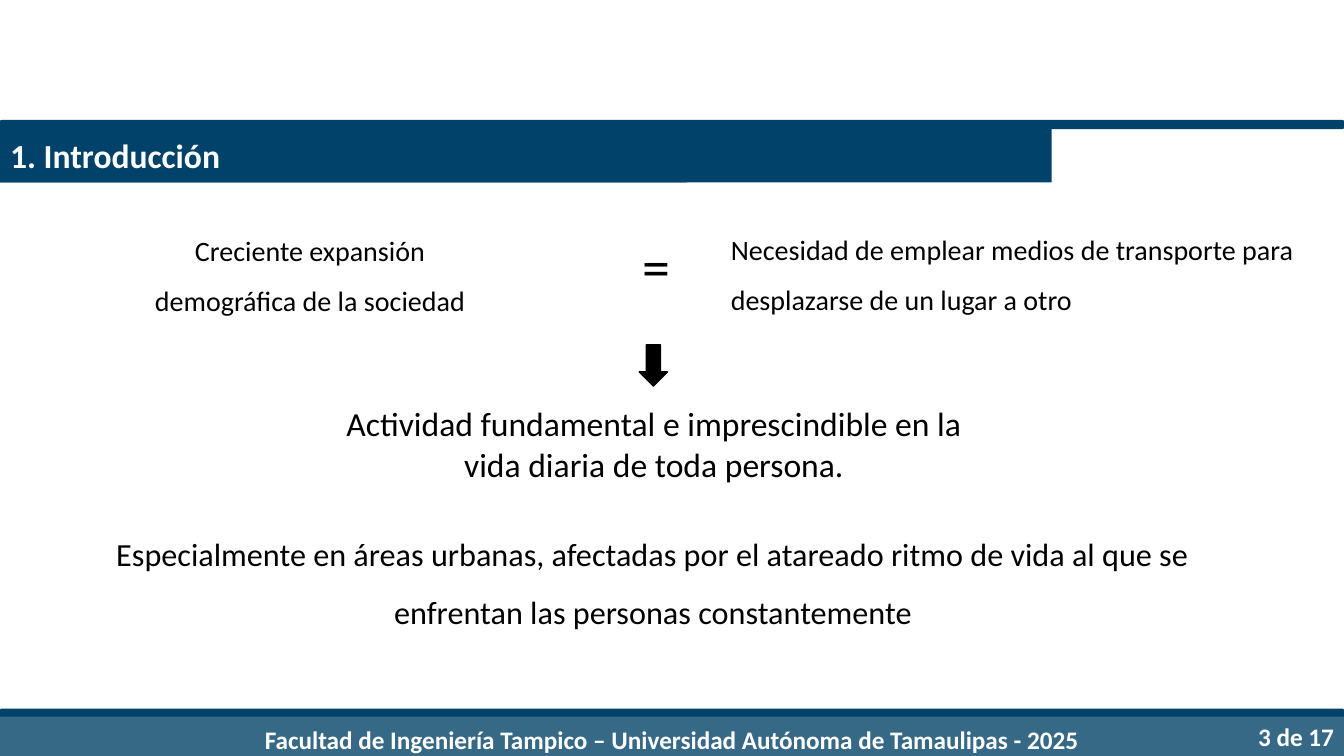
from pptx import Presentation
from pptx.dml.color import RGBColor
from pptx.enum.shapes import MSO_SHAPE
from pptx.enum.text import MSO_ANCHOR, MSO_AUTO_SIZE, PP_ALIGN
from pptx.util import Inches, Pt

LEFT, CENTER, RIGHT = PP_ALIGN.LEFT, PP_ALIGN.CENTER, PP_ALIGN.RIGHT
TOP, MIDDLE = MSO_ANCHOR.TOP, MSO_ANCHOR.MIDDLE
RECT, RULE, ARROW = (MSO_SHAPE.RECTANGLE, MSO_SHAPE.FLOWCHART_ALTERNATE_PROCESS,
                     MSO_SHAPE.DOWN_ARROW)

# Content
TITLE = "1. Introducción"
FOOTER = "Facultad de Ingeniería Tampico – Universidad Autónoma de Tamaulipas - 2025"
PAGE = "3 de 17"
CAUSE = "Creciente expansión demográfica de la sociedad"
EQUALS = "="
NEED = "Necesidad de emplear medios de transporte para desplazarse de un lugar a otro"
RESULT = "Actividad fundamental e imprescindible en la vida diaria de toda persona."
CONTEXT = ("Especialmente en áreas urbanas, afectadas por el atareado ritmo de vida "
           "al que se enfrentan las personas constantemente")

THEME = {
    "font": "Calibri", "navy": "00426A", "steel": "366986",
    "white": "FFFFFF", "black": "000000",
    "heading": 24, "footer": 18, "premise": 20, "equals": 40, "context": 23,
}

# Layout in inches: left, top, width, height
WIDTH, HEIGHT = 13.33, 7.5
RULE_H, BAND_H = 0.09, 0.54
HEAD_TOP, FOOT_TOP = 1.19, 7.03
BAND_TOP = HEAD_TOP + RULE_H - 0.01
STRIP_TOP = FOOT_TOP + RULE_H - 0.01

BARS = [
    (RULE, (0, FOOT_TOP, WIDTH, RULE_H), "navy"),
    (RULE, (0, HEAD_TOP, WIDTH, RULE_H), "navy"),
    (RECT, (0, STRIP_TOP, WIDTH, 0.46), "steel"),
    (RECT, (0, BAND_TOP, 10.43, BAND_H), "navy"),
    (ARROW, (6.34, 3.42, 0.28, 0.41), "black"),
]
TITLE_BOX = (0, BAND_TOP, 6.81, BAND_H)
WHITE_BOLD = {"color": "white", "bold": True}
TEXTS = [
    (PAGE, (11.87, STRIP_TOP, 1.46, 0.4), "footer", {"align": RIGHT, **WHITE_BOLD}),
    (CAUSE, (1.14, 2.1, 3.87, 1.05), "premise", {"align": CENTER, "spacing": 1.5}),
    (EQUALS, (6.27, 2.25, 0.42, 0.77), "equals", {}),
    (NEED, (7.15, 2.09, 5.84, 1.06), "premise", {"spacing": 1.5}),
    (RESULT, (3.08, 3.95, 6.81, 0.91), "heading", {"align": CENTER}),
    (CONTEXT, (0.75, 5.06, 11.46, 1.19), "context", {"align": CENTER, "spacing": 1.5}),
]


def rgb(name):
    return RGBColor.from_string(THEME[name])


def assign(target, values):
    for attribute, value in values.items():
        setattr(target, attribute, value)


def place(box):
    return [Inches(length) for length in box]


def paint(shape, color):
    shape.fill.solid()
    shape.fill.fore_color.rgb = rgb(color)


def write(shape, text, size, align=LEFT, spacing=1.0, color="black", bold=False, anchor=TOP):
    frame = shape.text_frame
    assign(frame, {"text": text, "word_wrap": True, "vertical_anchor": anchor,
                   "auto_size": MSO_AUTO_SIZE.NONE})
    paragraph = frame.paragraphs[0]
    assign(paragraph, {"alignment": align, "line_spacing": spacing})
    font = paragraph.runs[0].font
    assign(font, {"name": THEME["font"], "size": Pt(THEME[size]), "bold": bold})
    font.color.rgb = rgb(color)


def main():
    deck = Presentation()
    assign(deck, {"slide_width": Inches(WIDTH), "slide_height": Inches(HEIGHT)})
    slide = deck.slides.add_slide(deck.slide_layouts[5])
    shapes = slide.shapes

    # Bars and arrow
    for preset, box, color in BARS:
        bar = shapes.add_shape(preset, *place(box))
        bar.shadow.inherit = False
        paint(bar, color)
        if preset == ARROW:
            bar.line.color.rgb = rgb(color)
            bar.line.width = Pt(1)
        else:
            bar.line.fill.background()
        if color == "steel":
            write(bar, FOOTER, "footer", align=CENTER, anchor=MIDDLE, **WHITE_BOLD)

    # Title, raised above its band
    title = shapes.title
    assign(title, dict(zip(("left", "top", "width", "height"), place(TITLE_BOX))))
    paint(title, "navy")
    write(title, TITLE, "heading", anchor=MIDDLE, **WHITE_BOLD)
    bar.element.addprevious(title.element)

    # Statements and page number
    for text, box, size, style in TEXTS:
        write(shapes.add_textbox(*place(box)), text, size, **style)

    deck.save("out.pptx")


if __name__ == "__main__":
    main()
